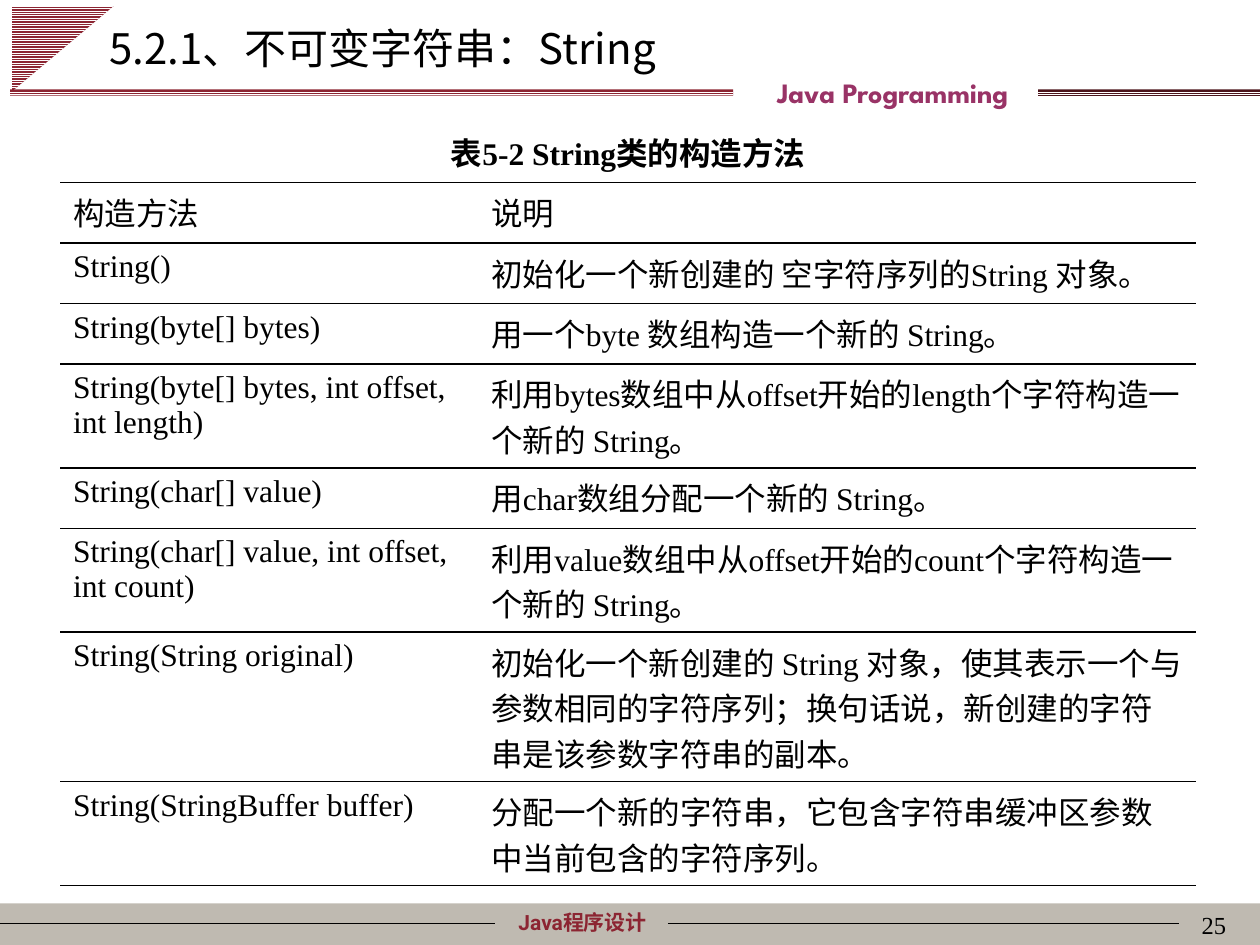
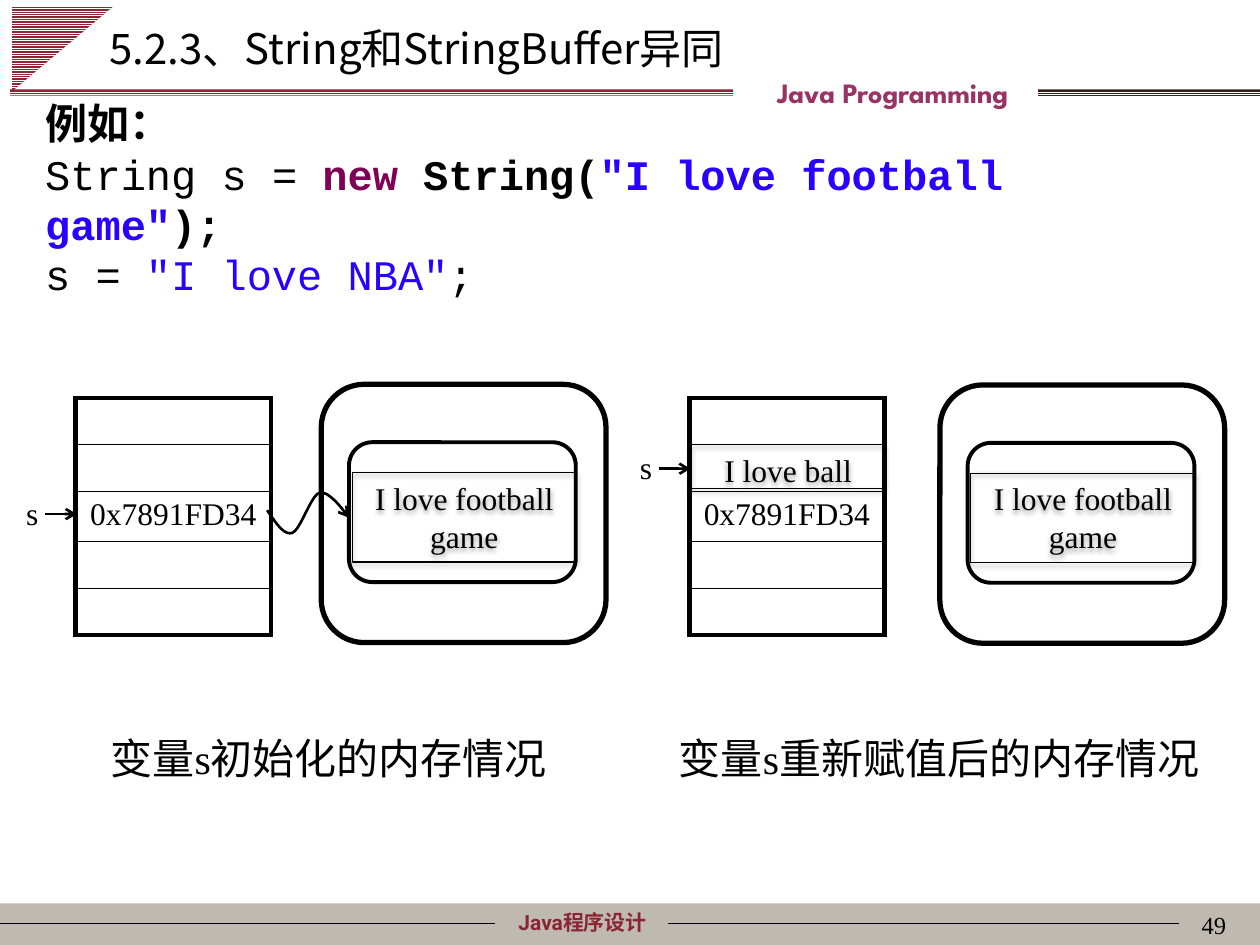
from dataclasses import dataclass
from typing import NamedTuple

from lxml import etree
from pptx import Presentation
from pptx.dml.color import RGBColor
from pptx.enum.dml import MSO_PATTERN
from pptx.enum.shapes import MSO_CONNECTOR, MSO_SHAPE
from pptx.enum.text import MSO_ANCHOR, MSO_AUTO_SIZE, PP_ALIGN
from pptx.oxml.ns import qn
from pptx.util import Emu, Inches, Pt

LEFT, CENTER, RIGHT = PP_ALIGN.LEFT, PP_ALIGN.CENTER, PP_ALIGN.RIGHT
TOP, MIDDLE = MSO_ANCHOR.TOP, MSO_ANCHOR.MIDDLE
RECTANGLE, ROUNDED = MSO_SHAPE.RECTANGLE, MSO_SHAPE.ROUNDED_RECTANGLE
TRIANGLE = MSO_SHAPE.RIGHT_TRIANGLE
STRIPES = MSO_PATTERN.LIGHT_HORIZONTAL
STRAIGHT = MSO_CONNECTOR.STRAIGHT

BLACK = RGBColor(0x00, 0x00, 0x00)
WHITE = RGBColor(0xFF, 0xFF, 0xFF)
MAROON = RGBColor(0x8C, 0x25, 0x32)
DARK_MAROON = RGBColor(0x4C, 0x14, 0x1B)
PLUM = RGBColor(0x99, 0x33, 0x66)
STONE = RGBColor(0xBF, 0xBA, 0xB1)
KEYWORD = RGBColor(0x7F, 0x00, 0x55)
LITERAL = RGBColor(0x2A, 0x00, 0xFF)

SERIF = "Times New Roman"
CJK = "Noto Sans CJK SC"
MONO = "Courier New"

GRID = Inches(0.1)
COLUMNS, ROWS = 100, 75
BAND_TOP = 71.7
RULE_Y = 73.3


class Box(NamedTuple):
    left: float
    top: float
    width: float
    height: float


class Span(NamedTuple):
    text: str
    color: RGBColor = BLACK
    bold: bool = False
    font: str = MONO


class Stripe(NamedTuple):
    kind: int
    box: Box
    color: RGBColor
    turn: float = 0


@dataclass
class MemoryState:
    stack_left: float
    pointer_y: float
    heap_left: float
    heap_top: float
    caption: str
    caption_box: Box


STRIPED = [
    Stripe(TRIANGLE, Box(1.6, -0.2, 6.8, 8.1), MAROON, 90),
    Stripe(RECTANGLE, Box(82.4, 7.1, 17.6, 0.6), DARK_MAROON),
    Stripe(RECTANGLE, Box(0.8, 7.1, 57.4, 0.5), MAROON),
]

CONSTRUCTORS = [
    ("构造方法", "说明"),
    ("String()", "初始化一个新创建的 空字符序列的String 对象。"),
    ("String(byte[] bytes)", "用一个byte 数组构造一个新的 String。"),
    ("String(byte[] bytes, int offset, int length)",
     "利用bytes数组中从offset开始的length个字符构造一个新的 String。"),
    ("String(char[] value)", "用char数组分配一个新的 String。"),
    ("String(char[] value, int offset, int count)",
     "利用value数组中从offset开始的count个字符构造一个新的 String。"),
    ("String(String original)",
     "初始化一个新创建的 String 对象，使其表示一个与参数相同的字符序列；"
     "换句话说，新创建的字符串是该参数字符串的副本。"),
    ("String(StringBuffer buffer)",
     "分配一个新的字符串，它包含字符串缓冲区参数中当前包含的字符序列。"),
]
CONSTRUCTOR_ROWS = [4.8, 4.8, 4.8, 4.8, 7.6, 4.8, 7.6, 10.9, 7.6]

EXAMPLE = [
    [Span("例如：", bold=True, font=CJK)],
    [Span("String s = "), Span("new", KEYWORD, True), Span(" String(", bold=True),
     Span('"I love football game"', LITERAL, True), Span(");", bold=True)],
    [Span("s = "), Span('"I love NBA"', LITERAL), Span(";")],
]

STACK_ROWS = [3.7, 3.7, 4, 3.7, 3.7]
STATES = [
    MemoryState(6, 40.8, 25.5, 30.5, "变量s初始化的内存情况", Box(7.8, 57.6, 37.5, 5)),
    MemoryState(54.7, 37.2, 74.6, 30.55, "变量s重新赋值后的内存情况", Box(52.9, 57.6, 44.1, 5)),
]
REFERENCE_START = (21.2, 40.5)
REFERENCE_CURVES = [
    ((21.9, 41.5), (22.5, 42.5), (23.2, 42.3)),
    ((23.9, 42), (24.7, 39.2), (25.4, 39.1)),
    ((26.2, 38.9), (27.7, 41.1), (27.7, 41.1)),
]
CURVE_STEPS = 10


def grid(units: float) -> Emu:
    return Emu(round(units * GRID))


def place(box: Box) -> list[Emu]:
    return [grid(units) for units in box]


def write(frame, text, *, size=18, font=SERIF, color=BLACK, bold=False,
          align=LEFT, anchor=TOP, exact=False):
    lines = [[Span(text, color, bold, font)]] if isinstance(text, str) else text
    for index, spans in enumerate(lines):
        paragraph = frame.paragraphs[0] if index == 0 else frame.add_paragraph()
        paragraph.alignment = align
        if exact:
            paragraph.line_spacing = Pt(size * 1.2)
        for span in spans:
            run = paragraph.add_run()
            run.text = span.text
            run.font.size = Pt(size)
            run.font.bold = span.bold
            run.font.color.rgb = span.color
            run.font.name = span.font
            properties = run._r.get_or_add_rPr()
            etree.SubElement(properties, qn("a:ea"), typeface=CJK)
    frame.word_wrap = True
    frame.auto_size = MSO_AUTO_SIZE.NONE
    frame.vertical_anchor = anchor


def label(slide, box: Box, text, **style):
    textbox = slide.shapes.add_textbox(*place(box))
    write(textbox.text_frame, text, **style)
    return textbox


def block(slide, kind, box: Box, fill=None, line=0.0):
    shape = slide.shapes.add_shape(kind, *place(box))
    shape.shadow.inherit = False
    if fill is None:
        shape.fill.background()
    else:
        shape.fill.solid()
        shape.fill.fore_color.rgb = fill
    if line:
        shape.line.color.rgb = BLACK
        shape.line.width = Pt(line)
    else:
        shape.line.fill.background()
    return shape


def add_arrowhead(shape):
    etree.SubElement(shape.line._get_or_add_ln(), qn("a:tailEnd"), type="arrow")


def rule(slide, start: float, end: float, y: float, width: float, arrow=False):
    line = slide.shapes.add_connector(STRAIGHT, grid(start), grid(y), grid(end), grid(y))
    line.line.color.rgb = BLACK
    line.line.width = Pt(width)
    if arrow:
        add_arrowhead(line)
    etree.SubElement(line.element.spPr, qn("a:effectLst"))
    return line


def value_box(slide, box: Box, lines: list[str]):
    shape = block(slide, RECTANGLE, box, line=0.75)
    effects = shape.element.spPr.find(qn("a:effectLst"))
    shadow = etree.SubElement(effects, qn("a:outerShdw"), blurRad=str(Pt(3.1)),
                              dist=str(Pt(1.6)), dir="5400000", rotWithShape="0")
    tone = etree.SubElement(shadow, qn("a:srgbClr"), val=str(BLACK))
    etree.SubElement(tone, qn("a:alpha"), val="38000")
    write(shape.text_frame, [[Span(line, font=SERIF)] for line in lines],
          align=CENTER, exact=True)


def finish_cell(cell, **widths: float):
    properties = cell._tc.get_or_add_tcPr()
    for side in "LRTB":
        width = widths.get(side, 0)
        edge = etree.SubElement(properties, qn(f"a:ln{side}"), w=str(Pt(width)))
        if width:
            paint = etree.SubElement(edge, qn("a:solidFill"))
            etree.SubElement(paint, qn("a:srgbClr"), val=str(BLACK))
        else:
            etree.SubElement(edge, qn("a:noFill"))
    cell.fill.background()


def add_grid_table(slide, left: float, top: float, widths: list[float], heights: list[float]):
    box = Box(left, top, sum(widths), sum(heights))
    table = slide.shapes.add_table(len(heights), len(widths), *place(box)).table
    table.first_row = table.horz_banding = False
    for column, width in zip(table.columns, widths):
        column.width = grid(width)
    for row, height in zip(table.rows, heights):
        row.height = grid(height)
    return table


def move_furniture_to_layout(slide):
    furniture = [
        block(slide, RECTANGLE, Box(0, BAND_TOP, COLUMNS, ROWS - BAND_TOP), STONE),
        label(slide, Box(36.2, BAND_TOP, 20.1, 3), "Java程序设计", size=12,
              font="Roboto", color=MAROON, bold=True, align=CENTER),
        rule(slide, 0, 39.3, RULE_Y, 0.75),
        rule(slide, 53, 93.6, RULE_Y, 0.75),
    ]
    for stripe in STRIPED:
        shape = block(slide, stripe.kind, stripe.box)
        shape.rotation = stripe.turn
        shape.fill.patterned()
        shape.fill.pattern = STRIPES
        shape.fill.fore_color.rgb = WHITE
        shape.fill.back_color.rgb = stripe.color
        furniture.append(shape)
    furniture.append(label(slide, Box(50.8, 5.5, 40.1, 3.7), "Java Programming", size=16,
                           font="League Spartan", color=PLUM, bold=True, align=CENTER))
    for shape in furniture:
        slide.slide_layout.shapes.element.append(shape.element)


def add_titled_slide(deck, title: str, number: int):
    slide = deck.slides.add_slide(deck.slide_layouts[5])
    heading = slide.shapes.title
    heading.left, heading.top, heading.width, heading.height = place(Box(7.7, 1.3, 85, 5))
    write(heading.text_frame, title, size=24, font=CJK, anchor=MIDDLE)
    label(slide, Box(77.5, BAND_TOP, 20.8, 5), str(number), size=14, align=RIGHT)
    return slide


def draw_constructors(slide):
    table = add_grid_table(slide, 4.8, 9.7, [33.2, 56.9], CONSTRUCTOR_ROWS)
    caption = table.cell(0, 0)
    caption.merge(table.cell(0, 1))
    write(caption.text_frame, "表5-2 String类的构造方法", bold=True, align=CENTER)
    for column in range(2):
        finish_cell(table.cell(0, column), B=1)
    for row, entries in enumerate(CONSTRUCTORS, start=1):
        for column, entry in enumerate(entries):
            cell = table.cell(row, column)
            write(cell.text_frame, entry)
            finish_cell(cell, T=1, B=1)


def draw_memory(slide, state: MemoryState):
    left, y = state.stack_left, state.pointer_y
    stack = add_grid_table(slide, left, 31.6, [15.5], STACK_ROWS)
    last = len(STACK_ROWS) - 1
    for row in range(last + 1):
        cell = stack.cell(row, 0)
        if row == 2:
            write(cell.text_frame, "0x7891FD34", align=CENTER)
        else:
            cell.margin_top = cell.margin_bottom = 0
        finish_cell(cell, L=3, R=3, T=3 if row == 0 else 1, B=3 if row == last else 1)
    rule(slide, left - 2.4, left + 0.1, y, 1.5, arrow=True)
    label(slide, Box(left - 4.9, y - 2.1, 3, 4), "s")
    heap_left, heap_top = state.heap_left, state.heap_top
    block(slide, ROUNDED, Box(heap_left, heap_top, 22.6, 20.5), WHITE, 3)
    block(slide, ROUNDED, Box(heap_left + 2.2, heap_top + 4.6, 18, 11.1), WHITE, 2.25)
    value_box(slide, Box(heap_left + 2.45, heap_top + 7, 17.8, 7.1),
              ["I love football", "game"])
    label(slide, state.caption_box, state.caption, size=24, anchor=MIDDLE, exact=True)


def draw_reference(slide):
    start, points = REFERENCE_START, []
    for first, second, end in REFERENCE_CURVES:
        for step in range(1, CURVE_STEPS + 1):
            t = step / CURVE_STEPS
            weights = ((1 - t) ** 3, 3 * t * (1 - t) ** 2, 3 * t * t * (1 - t), t ** 3)
            knots = (start, first, second, end)
            points.append(tuple(grid(sum(w * knot[axis] for w, knot in zip(weights, knots)))
                                for axis in range(2)))
        start = end
    builder = slide.shapes.build_freeform(*map(grid, REFERENCE_START))
    builder.add_line_segments(points, close=False)
    curve = builder.convert_to_shape()
    curve.shadow.inherit = False
    curve.fill.background()
    curve.line.color.rgb = BLACK
    curve.line.width = Pt(1.5)
    add_arrowhead(curve)


def main():
    deck = Presentation()
    deck.slide_width, deck.slide_height = grid(COLUMNS), grid(ROWS)

    constructors = add_titled_slide(deck, "5.2.1、不可变字符串：String", 25)
    move_furniture_to_layout(constructors)
    draw_constructors(constructors)

    comparison = add_titled_slide(deck, "5.2.3、String和StringBuffer异同", 49)
    label(comparison, Box(2.6, 9.2, 91.1, 13.1), EXAMPLE, size=24, anchor=MIDDLE, exact=True)
    for state in STATES:
        draw_memory(comparison, state)
    draw_reference(comparison)
    value_box(comparison, Box(54.9, 35.3, 15.3, 3.5), ["I love ball"])

    deck.save("out.pptx")


if __name__ == "__main__":
    main()
